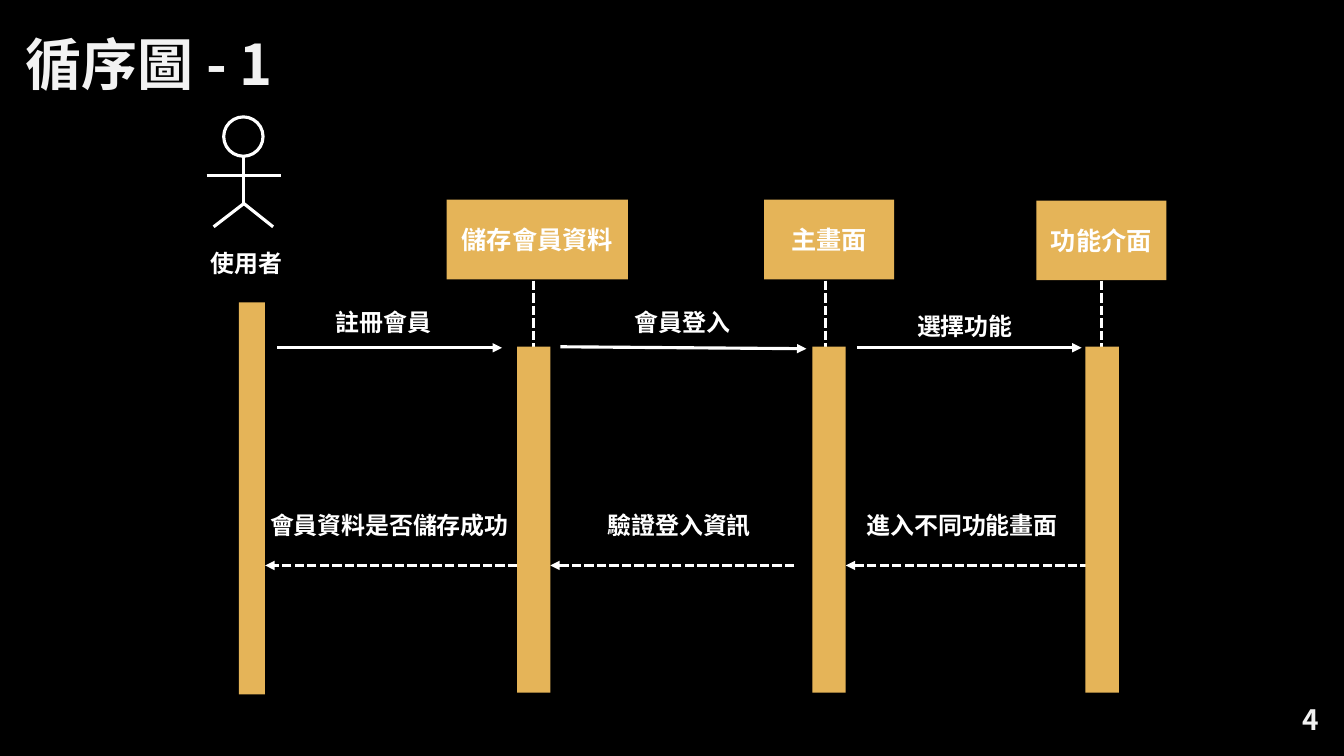
"""Build a sequence diagram slide of sign-up, login and feature choice."""
from pptx import Presentation
from pptx.dml.color import RGBColor as Rgb
from pptx.enum.dml import MSO_LINE as Dash
from pptx.enum.shapes import MSO_CONNECTOR as Conn, MSO_SHAPE as Shape
from pptx.enum.text import MSO_ANCHOR as Anchor, PP_ALIGN as Align
from pptx.oxml.ns import qn
from pptx.util import Pt
from lxml.etree import SubElement as Sub

THEME = {
    "font": "Noto Sans CJK SC",
    "back": Rgb(0, 0, 0), "gold": Rgb(0xE5, 0xB4, 0x58),
    "white": Rgb(255, 255, 255), "pale": Rgb(0xF2, 0xF2, 0xF2),
    "title": 40, "page": 20, "head": 18, "label": 17.1, "line": 2.25,
}

TITLE = ("循序圖 - 1", 11.5, 17.3, 228.2, 55.4)
PAGE = ("4", 905.8, 499, 43.2, 29.5)
ACTOR = ("使用者", 143.3, 174.2, 82.1)
ACTOR_BAR = (170.6, 216, 18.7, 280)
LIVES = [
    ("儲存會員資料", 319, 142.6, 129.6, 380.9, 369.4),
    ("主畫面", 545.8, 142.6, 92.9, 589.7, 580.3),
    ("功能介面", 740.2, 143.3, 92.9, 787, 775.4),
]
CALLS = [
    ("註冊會員", 232.6, 216, 141.1, (198, 248.4, 358.6, 248.4)),
    ("會員登入", 446.4, 216, 116.6, (400.3, 247.7, 576, 249.1)),
    ("選擇功能", 648, 218.9, 103, (612, 248.4, 772.6, 248.4)),
]
REPLIES = [
    ("會員資料是否儲存成功", 185.8, 216, 369.4, 189.4),
    ("驗證登入資訊", 427, 127.4, 567.4, 393.1),
    ("進入不同功能畫面", 612, 163.4, 778.3, 604.1),
]
FACE = (159.8, 83.5, 28.1, 28.1)
LIMBS = [
    (174.2, 111.6, 174.2, 146),
    (147.6, 125.3, 200.9, 125.3),
    (174.2, 145.4, 152.6, 162),
    (174.2, 145.4, 195.1, 162),
]
HEAD_H, TEXT_H = 56.9, 28.1
STEM_Y, BAR_Y, BAR_W, BAR_H = 200.5, 247.7, 23.8, 247
REPLY_Y, NOTE_Y = 403.9, 361.4

deck = Presentation()
deck.slide_width, deck.slide_height = Pt(960), Pt(540)
slide = deck.slides.add_slide(deck.slide_layouts[6])
fill = slide.background.fill
fill.solid()
fill.fore_color.rgb = THEME["back"]


def write(shape, text, size, tone="white", align=Align.LEFT, anchor=Anchor.TOP, wrap=True):
    frame = shape.text_frame
    frame.word_wrap, frame.vertical_anchor = wrap, anchor
    para = frame.paragraphs[0]
    para.alignment = align
    run = para.add_run()
    run.text = text
    form = {"name": THEME["font"], "size": Pt(THEME[size]), "bold": True}
    for key, val in form.items():
        setattr(run.font, key, val)
    run.font.color.rgb = THEME[tone]
    Sub(run.font._element, qn("a:ea")).set("typeface", THEME["font"])


def label(text, x, y, w, h=TEXT_H, size="label", **form):
    box = slide.shapes.add_textbox(*map(Pt, (x, y, w, h)))
    write(box, text, size, **form)


def block(x, y, w, h):
    box = slide.shapes.add_shape(Shape.RECTANGLE, *map(Pt, (x, y, w, h)))
    box.shadow.inherit = False
    box.fill.solid()
    box.fill.fore_color.rgb = THEME["gold"]
    box.line.fill.background()
    return box


def ink(line, dash=None):
    line.color.rgb = THEME["white"]
    for key, val in {"width": Pt(THEME["line"]), "dash_style": dash}.items():
        setattr(line, key, val)


def stroke(ends, dash=None, arrow=False):
    link = slide.shapes.add_connector(Conn.STRAIGHT, *map(Pt, ends))
    ink(link.line, dash)
    if arrow:
        Sub(link.line._get_or_add_ln(), qn("a:tailEnd")).set("type", "triangle")
    Sub(link._element.spPr, qn("a:effectLst"))


label(*TITLE, size="title", tone="pale")
label(*ACTOR)
block(*ACTOR_BAR)

face = slide.shapes.add_shape(Shape.OVAL, *map(Pt, FACE))
face.shadow.inherit = False
face.fill.background()
ink(face.line)
for limb in LIMBS:
    stroke(limb)

for text, x, y, w, ends in CALLS:
    stroke(ends, arrow=True)
    label(text, x, y, w)

for text, x, w, start, end in REPLIES:
    stroke((start, REPLY_Y, end, REPLY_Y), Dash.SQUARE_DOT, True)
    label(text, x, NOTE_Y, w)

for text, x, y, w, stem, bar in LIVES:
    head = block(x, y, w, HEAD_H)
    write(head, text, "head", align=Align.CENTER, anchor=Anchor.MIDDLE)
    stroke((stem, STEM_Y, stem, BAR_Y), Dash.SQUARE_DOT)
    block(bar, BAR_Y, BAR_W, BAR_H)

label(*PAGE, size="page", tone="pale", align=Align.RIGHT, anchor=Anchor.MIDDLE)

deck.save("out.pptx")
